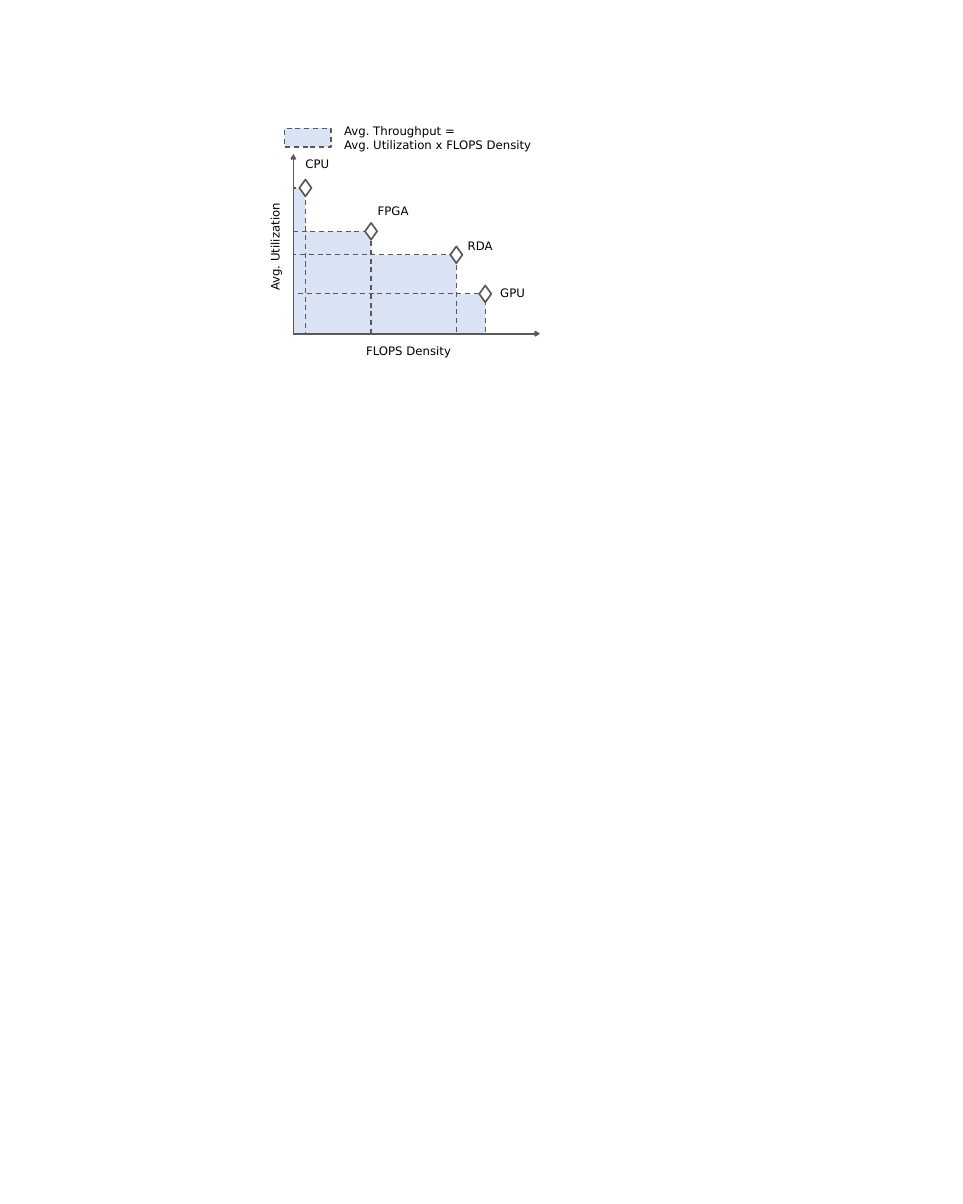
from lxml import etree
from pptx import Presentation
from pptx.dml.color import RGBColor
from pptx.enum import dml, shapes, text
from pptx.oxml.ns import qn
from pptx.util import Cm, Pt

GREY = RGBColor(0x59, 0x59, 0x59)
PALE_BLUE = RGBColor(0xDA, 0xE3, 0xF3)
WHITE = RGBColor(0xFF, 0xFF, 0xFF)
BLACK = RGBColor(0, 0, 0)
LABEL_FORMAT = {"name": "DejaVu Sans", "size": Pt(14)}
DASHED = {"width": Pt(1.5), "dash_style": dml.MSO_LINE.DASH}
SOLID = {"width": Pt(2)}
LABEL_HEIGHT = 0.86
MARKER_WIDTH, MARKER_HEIGHT = 0.51, 0.71

# Name, FLOPS density, utilization (cm along the axes),
# then label offset from the data point and label width
PROCESSORS = [
    ("CPU", 0.51, 6.15, -0.25, -1.42, 1.52),
    ("GPU", 8.1, 1.68, 0.38, -0.46, 1.57),
    ("FPGA", 3.28, 4.32, 0.03, -1.27, 1.83),
    ("RDA", 6.88, 3.33, 0.23, -0.81, 1.57),
]


def set_line(line, line_format):
    line.color.rgb = GREY
    for name, value in line_format.items():
        setattr(line, name, value)


def add_area(slide, kind, left, top, width, height, fill=None, line_format=None):
    area = slide.shapes.add_shape(kind, Cm(left), Cm(top), Cm(width), Cm(height))
    area.shadow.inherit = False
    if fill is None:
        area.fill.background()
    else:
        area.fill.solid()
        area.fill.fore_color.rgb = fill
    if line_format is None:
        area.line.fill.background()
    else:
        set_line(area.line, line_format)


def add_label(slide, lines, left, top, width, height=LABEL_HEIGHT, rotation=0):
    label = slide.shapes.add_textbox(Cm(left), Cm(top), Cm(width), Cm(height))
    label.rotation = rotation
    frame = label.text_frame
    frame.word_wrap = False
    frame.auto_size = text.MSO_AUTO_SIZE.SHAPE_TO_FIT_TEXT
    frame.text = "\n".join(lines)
    for paragraph in frame.paragraphs:
        font = paragraph.runs[0].font
        font.color.rgb = BLACK
        for name, value in LABEL_FORMAT.items():
            setattr(font, name, value)


def add_axis(slide, x1, y1, x2, y2):
    axis = slide.shapes.add_connector(
        shapes.MSO_CONNECTOR.STRAIGHT, Cm(x1), Cm(y1), Cm(x2), Cm(y2))
    set_line(axis.line, SOLID)
    etree.SubElement(axis.line._get_or_add_ln(), qn("a:tailEnd"), type="arrow")
    etree.SubElement(axis._element.spPr, qn("a:effectLst"))


def add_legend(slide, left, top):
    add_area(slide, shapes.MSO_SHAPE.RECTANGLE, left, top + 0.33, 1.96, 0.79,
             PALE_BLUE, DASHED)
    add_label(slide, ["Avg. Throughput =", "Avg. Utilization x FLOPS Density"],
              left + 2.26, top, 8.48, 1.45)


def add_plot(slide, left, top, width, height):
    bottom = top + height

    # Throughput areas: all fills first, then all dashed outlines
    for style in ({"fill": PALE_BLUE}, {"line_format": DASHED}):
        for _, density, utilization, *_ in PROCESSORS:
            add_area(slide, shapes.MSO_SHAPE.RECTANGLE, left, bottom - utilization,
                     density, utilization, **style)

    # Axes and their titles
    add_axis(slide, left, bottom, left, top)
    add_axis(slide, left, bottom, left + width, bottom)
    add_label(slide, ["FLOPS Density"], left + 2.82, bottom + 0.3, 4.11)
    add_label(slide, ["Avg. Utilization"], left - 2.9, top + 3.46, 4.27, rotation=270)

    # Diamond markers and processor names
    for name, density, utilization, dx, dy, label_width in PROCESSORS:
        x, y = left + density, bottom - utilization
        add_area(slide, shapes.MSO_SHAPE.DIAMOND, x - MARKER_WIDTH / 2,
                 y - MARKER_HEIGHT / 2, MARKER_WIDTH, MARKER_HEIGHT, WHITE, SOLID)
        add_label(slide, [name], x + dx, y + dy, label_width)


def main():
    deck = Presentation()
    deck.slide_width, deck.slide_height = Cm(40.64), Cm(50.8)
    slide = deck.slides.add_slide(deck.slide_layouts[6])
    add_legend(slide, 12.01, 5.08)
    add_plot(slide, 12.38, 6.5, 10.41, 7.58)
    deck.save("out.pptx")


if __name__ == "__main__":
    main()
